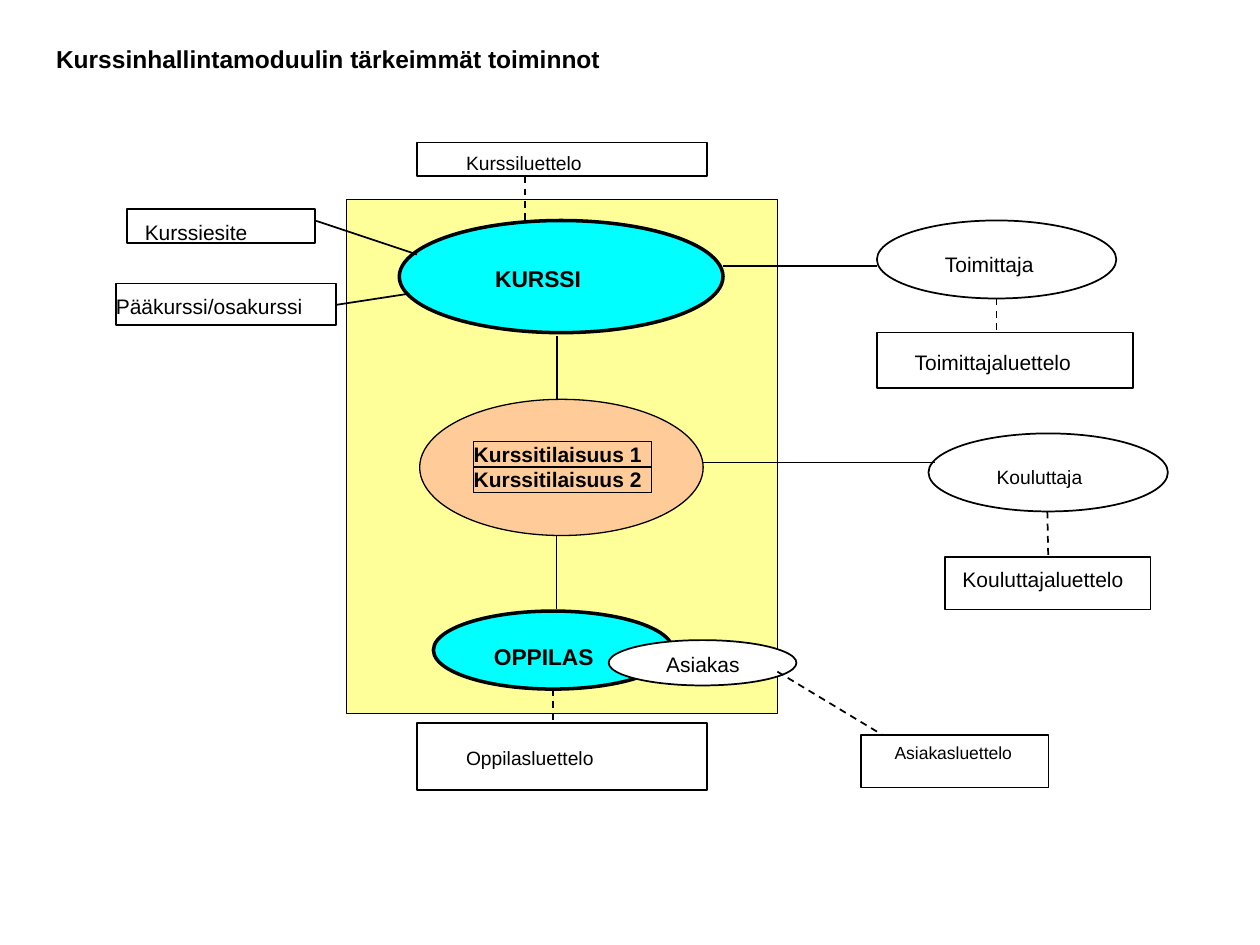
from dataclasses import dataclass
from math import sqrt

from lxml.etree import SubElement
from pptx import Presentation
from pptx.dml.color import RGBColor
from pptx.enum.dml import MSO_LINE
from pptx.enum.shapes import MSO_CONNECTOR, MSO_SHAPE
from pptx.enum.text import MSO_ANCHOR, MSO_AUTO_SIZE, PP_ALIGN
from pptx.oxml.ns import qn
from pptx.util import Pt


@dataclass(frozen=True)
class Theme:
    font: str = "Arial"
    ink: RGBColor = RGBColor(0x00, 0x00, 0x00)
    paper: RGBColor = RGBColor(0xFF, 0xFF, 0xFF)
    module: RGBColor = RGBColor(0xFF, 0xFF, 0x99)
    core: RGBColor = RGBColor(0x00, 0xFF, 0xFF)
    session: RGBColor = RGBColor(0xFF, 0xCC, 0x99)
    title_size: float = 14
    core_size: float = 13
    label_size: float = 12
    small_size: float = 11
    tiny_size: float = 10
    thin: float = 0.75
    normal: float = 1
    thick: float = 2


THEME = Theme()
RECT, OVAL = MSO_SHAPE.RECTANGLE, MSO_SHAPE.OVAL
# An oval keeps its text in the inscribed rectangle.
OVAL_MARGIN = (1 - sqrt(0.5)) / 2

# Label, box (left, top, width, height), label offset in the box, label size
LISTS = [
    ("Kurssiluettelo", (238.3, 81.4, 165.6, 19.4), (28, 5), THEME.small_size),
    ("Kurssiesite", (72.7, 119.5, 107.3, 19.4), (10, 5.8), THEME.label_size),
    ("Pääkurssi/osakurssi", (66.2, 162, 126, 23.8), (0, 5.8), THEME.label_size),
    ("Toimittajaluettelo", (501.1, 190.1, 146.2, 31.7), (21.6, 9.4), THEME.label_size),
    ("Kouluttajaluettelo", (540, 318.2, 117.4, 30.2), (10, 5.8), THEME.label_size),
    ("Oppilasluettelo", (238.3, 413.3, 165.6, 38.2), (28, 13), THEME.small_size),
    ("Asiakasluettelo", (491.8, 419.8, 107.3, 30.2), (19.4, 4.3), THEME.tiny_size),
]
CORES = [
    ("KURSSI", (228.2, 126, 185, 64.1), (54.8, 25.2)),
    ("OPPILAS", (247.7, 349.2, 136.8, 44.6), (34.6, 18)),
]
ROLES = [
    ("Toimittaja", (501.1, 126, 136.8, 44.6), (38.9, 18), THEME.label_size),
    ("Kouluttaja", (530.6, 247.7, 136.8, 44.6), (38.9, 18), THEME.small_size),
    ("Asiakas", (347.8, 365.8, 107.3, 25.9), (32.9, 6.5), THEME.label_size),
]
# Start x, y and end x, y
RELATIONS = [
    (180, 126, 238.3, 145.4),
    (192.2, 174.2, 234, 167.8),
    (413.3, 151.9, 501.1, 151.9),
    (318.2, 192.2, 318.2, 228.2),
]
SESSION_RELATIONS = [
    (318.2, 306, 318.2, 347.8),
    (401.8, 264.2, 534.2, 264.2),
]
LIST_LINKS = [
    (300.2, 100.8, 300.2, 126),
    (569.5, 170.6, 569.5, 190.1),
    (598.5, 292.3, 599, 318.2),
    (444.2, 383.8, 504, 419.8),
    (316.1, 393.8, 316.1, 413.3),
]


def format_text(frame, text, size, bold=False):
    frame.text = text
    frame.word_wrap = True
    frame.auto_size = MSO_AUTO_SIZE.NONE
    frame.vertical_anchor = MSO_ANCHOR.TOP
    frame.margin_left = frame.margin_top = 0
    frame.margin_right = frame.margin_bottom = 0
    paragraph = frame.paragraphs[0]
    paragraph.alignment = PP_ALIGN.LEFT
    font = paragraph.runs[0].font
    font.name, font.size, font.bold = THEME.font, Pt(size), bold
    font.color.rgb = THEME.ink


def add_title(slide, text):
    title = slide.shapes.title
    title.left, title.top = Pt(32), Pt(25.2)
    title.width, title.height = Pt(320), Pt(16.8)
    format_text(title.text_frame, text, THEME.title_size, bold=True)


def add_outline(slide, kind, box, fill=None, weight=THEME.normal):
    """Add an outlined shape; without a fill it is see-through."""
    outline = slide.shapes.add_shape(kind, *map(Pt, box))
    outline.shadow.inherit = False
    if fill is None:
        outline.fill.background()
    else:
        outline.fill.solid()
        outline.fill.fore_color.rgb = fill
    outline.line.color.rgb = THEME.ink
    outline.line.width = Pt(weight)
    return outline


def add_node(slide, kind, label, box, offset, size, fill=THEME.paper,
             weight=THEME.normal, bold=False):
    """Add a shape whose label starts at an offset from its top left corner."""
    node = add_outline(slide, kind, box, fill, weight)
    format_text(node.text_frame, label, size, bold)
    margin = OVAL_MARGIN if kind == OVAL else 0
    node.text_frame.margin_left = Pt(offset[0] - margin * box[2])
    node.text_frame.margin_top = Pt(offset[1] - margin * box[3])


def add_link(slide, ends, weight=THEME.normal, dashed=False):
    link = slide.shapes.add_connector(MSO_CONNECTOR.STRAIGHT, *map(Pt, ends))
    link.line.color.rgb = THEME.ink
    link.line.width = Pt(weight)
    if dashed:
        link.line.dash_style = MSO_LINE.DASH
    SubElement(link._element.spPr, qn("a:effectLst"))


def add_sessions(slide):
    add_outline(slide, OVAL, (239.8, 228.2, 162, 77.8), THEME.session, THEME.thin)
    for number in (1, 2):
        box = (270.7, 252.2 + 14.6 * (number - 1), 101.5, 14.6)
        add_node(slide, RECT, f"Kurssitilaisuus {number}", box, (0, 0),
                 THEME.label_size, None, THEME.thin, bold=True)


def main():
    deck = Presentation()
    deck.slide_width, deck.slide_height = Pt(720), Pt(540)
    slide = deck.slides.add_slide(deck.slide_layouts[5])

    add_title(slide, "Kurssinhallintamoduulin tärkeimmät toiminnot")
    add_outline(slide, RECT, (198, 113.8, 246.2, 293.8), THEME.module, THEME.thin)
    for label, box, offset, size in LISTS:
        add_node(slide, RECT, label, box, offset, size)
    for label, box, offset in CORES:
        add_node(slide, OVAL, label, box, offset, THEME.core_size,
                 THEME.core, THEME.thick, bold=True)
    for label, box, offset, size in ROLES:
        add_node(slide, OVAL, label, box, offset, size)
    add_sessions(slide)

    for ends in RELATIONS:
        add_link(slide, ends)
    for ends in SESSION_RELATIONS:
        add_link(slide, ends, THEME.thin)
    for ends in LIST_LINKS:
        add_link(slide, ends, dashed=True)
    deck.save("out.pptx")


if __name__ == "__main__":
    main()
